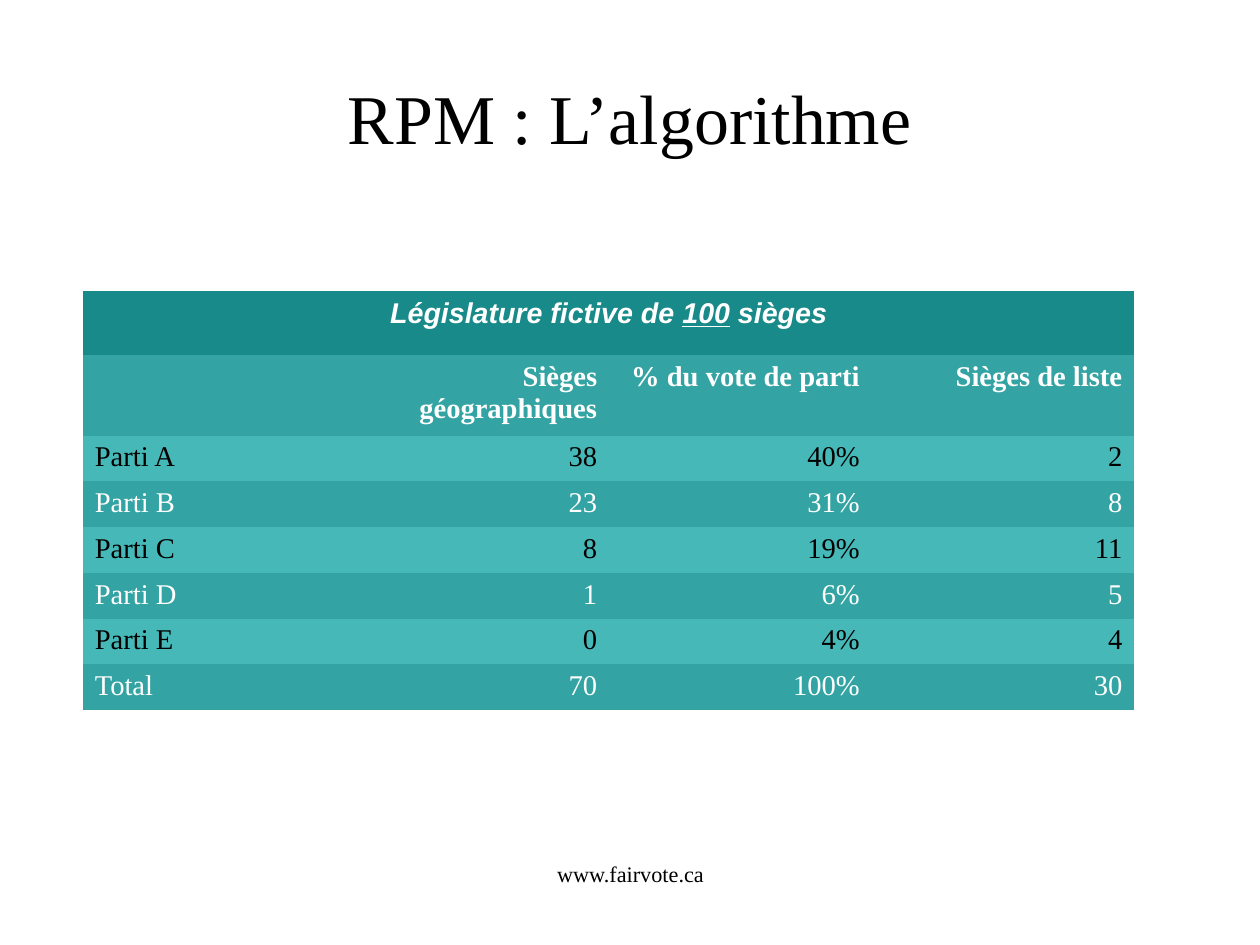
from pptx import Presentation, util as u
from pptx.dml import color
from pptx.enum import text as t
from pptx.oxml import ns

COLORS = {"banner": "198A8A", "dark": "33A3A3", "light": "47B8B8",
          "white": "FFFFFF", "black": "000000"}
SERIF, SANS = "Times New Roman", "Arial"

deck = Presentation()
deck.slide_width, deck.slide_height = u.Cm(28), u.Cm(21)
W, H = deck.slide_width, deck.slide_height
slide = deck.slides.add_slide(deck.slide_layouts[6])


def write(frame, *pieces, size=18, font=SERIF, ink="black", bold=False,
          italic=False, align=t.PP_ALIGN.CENTER, underlined=None):
    paragraph = frame.paragraphs[0]
    paragraph.alignment = align
    for piece in pieces:
        run = paragraph.add_run()
        run.text = piece
        run.font.size, run.font.name = u.Pt(size), font
        run.font.bold, run.font.italic = bold, italic
        run.font.underline = piece == underlined
        run.font.color.rgb = color.RGBColor.from_string(COLORS[ink])


labels = [
    ("RPM : L’algorithme", 44, t.MSO_ANCHOR.MIDDLE, (0.05, 0.04, 0.9, 0.167)),
    ("www.fairvote.ca", 14, t.MSO_ANCHOR.TOP, (0.342, 0.91, 0.317, 0.069)),
]
for wording, size, anchor, (x, y, w, h) in labels:
    frame = slide.shapes.add_textbox(int(x * W), int(y * H), int(w * W), int(h * H)).text_frame
    frame.word_wrap = True
    frame.vertical_anchor = anchor
    frame.margin_left = frame.margin_right = frame.margin_top = frame.margin_bottom = 0
    write(frame, wording, size=size)

headings = ["", "Sièges géographiques", "% du vote de parti", "Sièges de liste"]
results = [
    ["Parti A", "38", "40%", "2"],
    ["Parti B", "23", "31%", "8"],
    ["Parti C", "8", "19%", "11"],
    ["Parti D", "1", "6%", "5"],
    ["Parti E", "0", "4%", "4"],
    ["Total", "70", "100%", "30"],
]
heights = [0.56, 0.7] + [0.4] * len(results)
seats = slide.shapes.add_table(len(heights), len(headings), u.Inches(0.73), u.Inches(2.55),
                               u.Inches(9.19), u.Inches(sum(heights))).table
seats._tbl.tblPr.find(ns.qn("a:tableStyleId")).text = "{2D5ABB26-0587-4C30-8999-92F81FD0307C}"
for row, height in zip(seats.rows, heights):
    row.height = u.Inches(height)

banner = seats.cell(0, 0)
banner.merge(seats.cell(0, len(headings) - 1))
banner.fill.solid()
banner.fill.fore_color.rgb = color.RGBColor.from_string(COLORS["banner"])
write(banner.text_frame, "Législature fictive de ", "100", " sièges", font=SANS,
      ink="white", bold=True, italic=True, underlined="100")

for r, values in enumerate([headings] + results, start=1):
    band, ink = ("dark", "white") if r % 2 else ("light", "black")
    for c, value in enumerate(values):
        cell = seats.cell(r, c)
        cell.fill.solid()
        cell.fill.fore_color.rgb = color.RGBColor.from_string(COLORS[band])
        if value:
            write(cell.text_frame, value, ink=ink, bold=r == 1,
                  align=t.PP_ALIGN.RIGHT if c else t.PP_ALIGN.LEFT)

deck.save("out.pptx")
